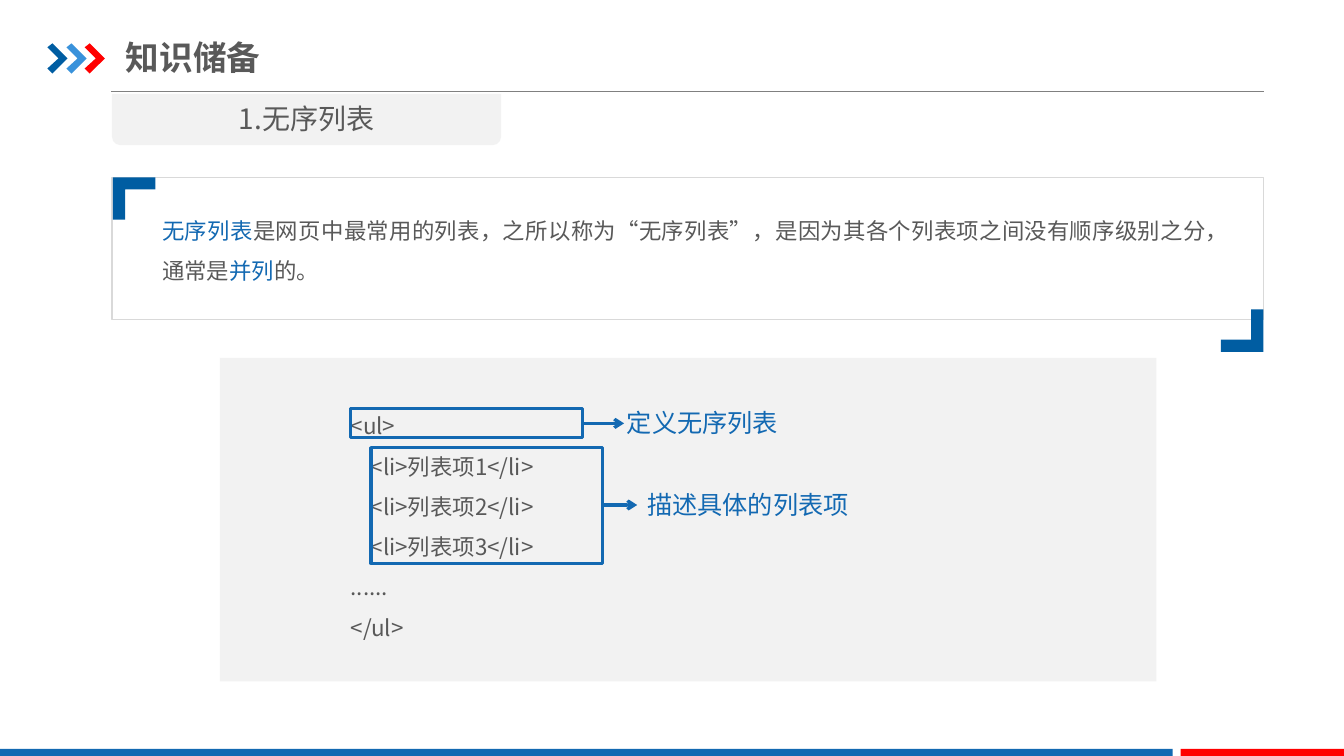
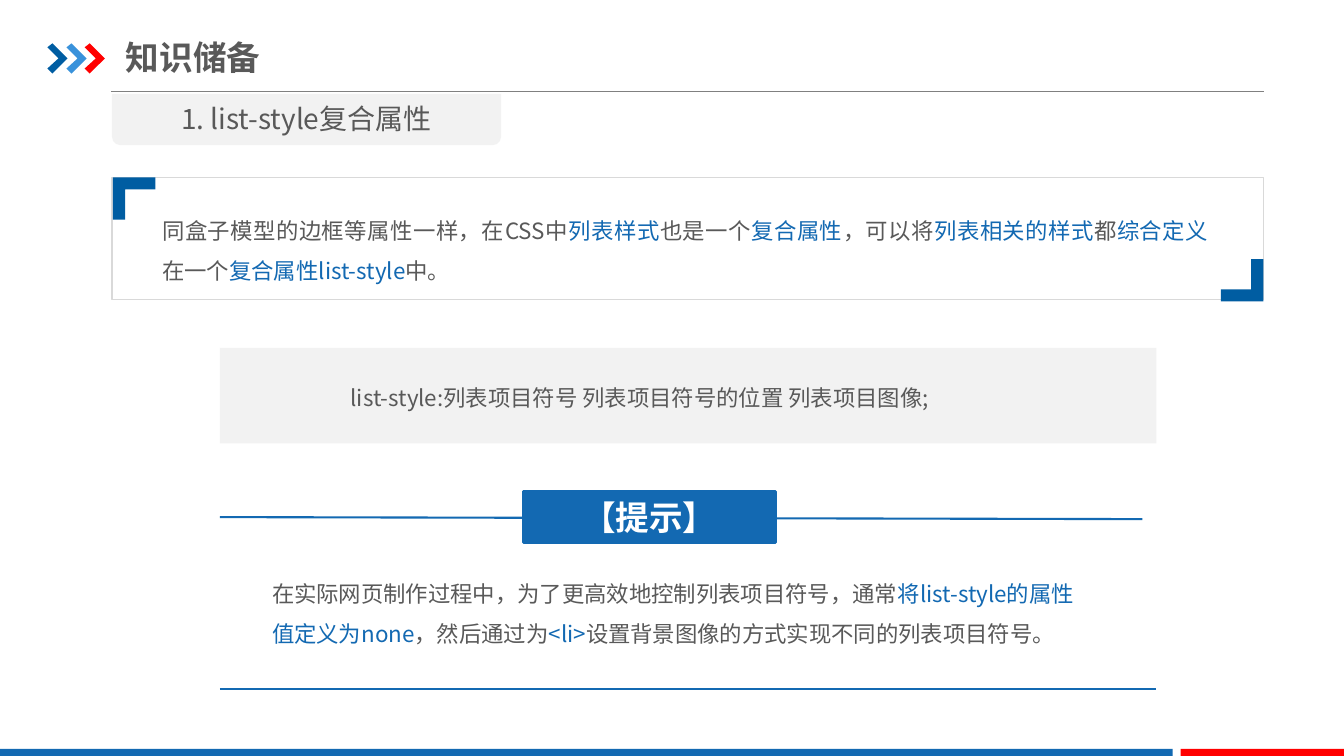
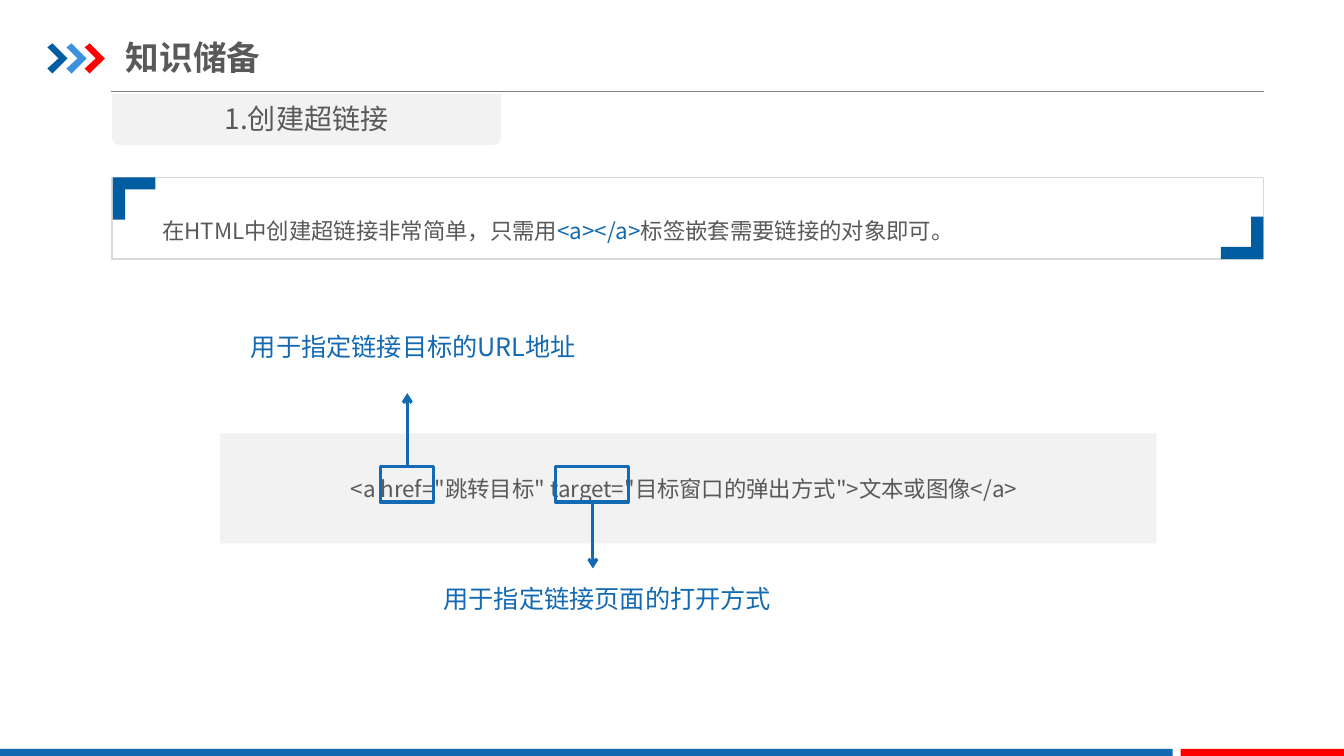
from dataclasses import dataclass
from typing import NamedTuple

from lxml import etree
from pptx import Presentation
from pptx.dml.color import RGBColor
from pptx.enum.shapes import MSO_CONNECTOR, MSO_SHAPE
from pptx.enum.text import MSO_ANCHOR, PP_ALIGN
from pptx.oxml.ns import qn
from pptx.shapes.autoshape import Shape
from pptx.slide import Slide
from pptx.util import Emu, Pt

PX = 9144
RECTANGLE = MSO_SHAPE.RECTANGLE
TAB_SHAPE = MSO_SHAPE.ROUND_2_SAME_RECTANGLE
STRAIGHT = MSO_CONNECTOR.STRAIGHT
TOP, MIDDLE = MSO_ANCHOR.TOP, MSO_ANCHOR.MIDDLE
LEFT, CENTER, JUSTIFY = PP_ALIGN.LEFT, PP_ALIGN.CENTER, PP_ALIGN.JUSTIFY


class Box(NamedTuple):
    left: int
    top: int
    width: int
    height: int

    def emu(self) -> list[Emu]:
        return [px(value) for value in self]


class Point(NamedTuple):
    x: int
    y: int


@dataclass(frozen=True)
class Theme:
    font: str = "Noto Sans CJK SC"
    accent: str = "1369B2"
    dark: str = "005DA2"
    light: str = "3992DB"
    red: str = "FF0000"
    text: str = "595959"
    panel: str = "F2F2F2"
    frame: str = "D9D9D9"
    rule: str = "808080"
    white: str = "FFFFFF"
    title_size: int = 24
    tab_size: int = 20
    label_size: int = 18
    body_size: int = 16


THEME = Theme()


@dataclass(frozen=True)
class TextStyle:
    size: int = THEME.body_size
    color: str = THEME.text
    bold: bool = False
    align: PP_ALIGN = LEFT
    anchor: MSO_ANCHOR = TOP
    spacing: float = 1.0
    insets: tuple[int, int] = (10, 5)


TITLE = TextStyle(THEME.title_size, bold=True, anchor=MIDDLE, insets=(0, 7))
TAB = TextStyle(THEME.tab_size, align=CENTER)
INTRODUCTION = TextStyle(align=JUSTIFY, spacing=1.5, insets=(0, 0))
BODY = TextStyle(spacing=1.5)
LABEL = TextStyle(THEME.label_size, THEME.accent)
TIP = TextStyle(THEME.title_size, THEME.white, True, CENTER, MIDDLE)


@dataclass(frozen=True)
class Introduction:
    text: str
    height: int
    corner_bottom: int


@dataclass(frozen=True)
class CodePanel:
    text: str
    top: int
    height: int
    text_top: int


@dataclass(frozen=True)
class Callout:
    target: Box
    start: Point
    end: Point
    label: str
    label_box: Box


def px(value: int) -> Emu:
    return Emu(value * PX)


def paint(shape: Shape, fill: str | None, line: str | None = None, width: float = 1) -> None:
    shape.shadow.inherit = False
    if fill:
        shape.fill.solid()
        shape.fill.fore_color.rgb = RGBColor.from_string(fill)
    else:
        shape.fill.background()
    if line:
        shape.line.color.rgb = RGBColor.from_string(line)
        shape.line.width = Pt(width)
    else:
        shape.line.fill.background()


def add_box(slide: Slide, box: Box, fill: str | None, line: str | None = None,
            width: float = 1, kind: MSO_SHAPE = RECTANGLE) -> Shape:
    shape = slide.shapes.add_shape(kind, *box.emu())
    paint(shape, fill, line, width)
    return shape


def write_text(shape: Shape, text: str, style: TextStyle) -> None:
    frame = shape.text_frame
    horizontal, vertical = (px(value) for value in style.insets)
    frame_format = {
        "word_wrap": True, "vertical_anchor": style.anchor,
        "margin_left": horizontal, "margin_right": horizontal,
        "margin_top": vertical, "margin_bottom": vertical,
    }
    for name, value in frame_format.items():
        setattr(frame, name, value)
    for line_index, line in enumerate(text.split("\n")):
        paragraph = frame.add_paragraph() if line_index else frame.paragraphs[0]
        paragraph.alignment = style.align
        paragraph.line_spacing = style.spacing
        for part_index, part in enumerate(line.split("|")):
            if not part:
                continue
            run = paragraph.add_run()
            run.text = part
            font_format = {"size": Pt(style.size), "bold": style.bold, "name": THEME.font}
            for name, value in font_format.items():
                setattr(run.font, name, value)
            color = THEME.accent if part_index % 2 else style.color
            run.font.color.rgb = RGBColor.from_string(color)
            properties = run.font._element
            properties.set("lang", "zh-CN")
            etree.SubElement(properties, qn("a:ea"), typeface=THEME.font)


def add_text(slide: Slide, box: Box, text: str, style: TextStyle) -> None:
    write_text(slide.shapes.add_textbox(*box.emu()), text, style)


def add_line(slide: Slide, start: Point, end: Point, color: str, width: float,
             arrow: bool = False) -> None:
    ends = [px(value) for value in (*start, *end)]
    connector = slide.shapes.add_connector(STRAIGHT, *ends)
    connector.line.color.rgb = RGBColor.from_string(color)
    connector.line.width = Pt(width)
    properties = connector.element.spPr
    if arrow:
        etree.SubElement(properties.find(qn("a:ln")), qn("a:tailEnd"), type="arrow")
    etree.SubElement(properties, qn("a:effectLst"))


def add_outline(slide: Slide, points: list[Point], fill: str) -> None:
    builder = slide.shapes.build_freeform(*points[0], scale=PX)
    builder.add_line_segments(points[1:], close=True)
    paint(builder.convert_to_shape(), fill)


def add_chevron(slide: Slide, left: int, fill: str) -> None:
    offsets = ((0, 47), (5, 43), (20, 58), (5, 73), (0, 68), (11, 58))
    add_outline(slide, [Point(left + x, y) for x, y in offsets], fill)


def add_corner(slide: Slide, origin: Point, direction: int) -> None:
    offsets = ((0, 0), (42, 0), (42, 12), (12, 12), (12, 42), (0, 42))
    points = [Point(origin.x + direction * x, origin.y + direction * y) for x, y in offsets]
    add_outline(slide, points, THEME.dark)


def add_base(presentation: Presentation, heading: str) -> Slide:
    slide = presentation.slides.add_slide(presentation.slide_layouts[6])
    add_line(slide, Point(110, 91), Point(1254, 91), THEME.rule, 0.75)
    for left, fill in zip((47, 66, 84), (THEME.dark, THEME.light, THEME.red)):
        add_chevron(slide, left, fill)
    add_box(slide, Box(0, 743, 1163, 9), THEME.accent)
    add_box(slide, Box(1171, 743, 163, 9), THEME.red)
    add_text(slide, Box(125, 29, 426, 55), "知识储备", TITLE)
    tab = add_box(slide, Box(111, 93, 386, 51), THEME.panel, kind=TAB_SHAPE)
    tab.rotation = 180
    add_text(slide, Box(111, 96, 386, 44), heading, TAB)
    return slide


def add_introduction(slide: Slide, introduction: Introduction) -> None:
    add_box(slide, Box(111, 176, 1142, introduction.height), None, THEME.frame)
    add_text(slide, Box(161, 202, 1037, 76), introduction.text, INTRODUCTION)
    add_corner(slide, Point(112, 176), 1)
    add_corner(slide, Point(1253, introduction.corner_bottom), -1)


def add_code(slide: Slide, code: CodePanel) -> None:
    add_box(slide, Box(218, code.top, 929, code.height), THEME.panel)
    add_text(slide, Box(338, code.text_top, 760, code.height), code.text, BODY)


def add_callout(slide: Slide, callout: Callout) -> None:
    add_box(slide, callout.target, None, THEME.accent, 2.25)
    add_line(slide, callout.start, callout.end, THEME.accent, 2.25, arrow=True)
    add_text(slide, callout.label_box, callout.label, LABEL)


def add_tip(slide: Slide, text: str) -> None:
    add_line(slide, Point(218, 513), Point(1133, 515), THEME.accent, 1.5)
    banner = add_box(slide, Box(519, 488, 250, 50), THEME.accent, THEME.accent, 2)
    write_text(banner, "【提示】", TIP)
    add_line(slide, Point(218, 684), Point(1147, 684), THEME.accent, 1.5)
    add_text(slide, Box(260, 557, 830, 91), text, BODY)


def build_unordered_list(presentation: Presentation) -> None:
    slide = add_base(presentation, "1.无序列表")
    add_introduction(slide, Introduction(
        "|无序列表|是网页中最常用的列表，之所以称为“无序列表”，"
        "是因为其各个列表项之间没有顺序级别之分，通常是|并列|的。", 141, 349))
    items = [f"    <li>列表项{number}</li>" for number in range(1, 4)]
    code = "\n".join(["<ul>", *items, "......", "</ul>"])
    add_code(slide, CodePanel(code, 355, 321, 391))
    for callout in (
        Callout(Box(348, 405, 230, 29), Point(578, 420), Point(619, 420),
                "定义无序列表", Box(612, 399, 180, 40)),
        Callout(Box(368, 444, 230, 115), Point(598, 501), Point(632, 501),
                "描述具体的列表项", Box(632, 481, 230, 40)),
    ):
        add_callout(slide, callout)


def build_list_style(presentation: Presentation) -> None:
    slide = add_base(presentation, "1. list-style复合属性")
    add_code(slide, CodePanel(
        "list-style:列表项目符号 列表项目符号的位置 列表项目图像;", 345, 95, 363))
    add_introduction(slide, Introduction(
        "同盒子模型的边框等属性一样，在CSS中|列表样式|也是一个|复合属性|，可以将"
        "|列表相关的样式|都|综合定义|在一个|复合属性list-style|中。", 121, 299))
    add_tip(slide, "在实际网页制作过程中，为了更高效地控制列表项目符号，通常"
                   "|将list-style的属性值定义为none|，然后通过为|<li>|"
                   "设置背景图像的方式实现不同的列表项目符号。")


def build_hyperlink(presentation: Presentation) -> None:
    slide = add_base(presentation, "1.创建超链接")
    add_introduction(slide, Introduction(
        "在HTML中创建超链接非常简单，只需用|<a></a>|标签嵌套需要链接的对象即可。", 81, 257))
    add_code(slide, CodePanel(
        '<a href="跳转目标" target="目标窗口的弹出方式">文本或图像</a>', 430, 109, 453))
    for callout in (
        Callout(Box(377, 463, 53, 35), Point(404, 463), Point(404, 390),
                "用于指定链接目标的URL地址", Box(239, 324, 346, 40)),
        Callout(Box(551, 463, 72, 35), Point(588, 499), Point(588, 564),
                "用于指定链接页面的打开方式", Box(430, 574, 360, 40)),
    ):
        add_callout(slide, callout)


def main() -> None:
    presentation = Presentation()
    presentation.slide_width = px(1333)
    presentation.slide_height = px(750)
    for build in (build_unordered_list, build_list_style, build_hyperlink):
        build(presentation)
    presentation.save("out.pptx")


if __name__ == "__main__":
    main()
